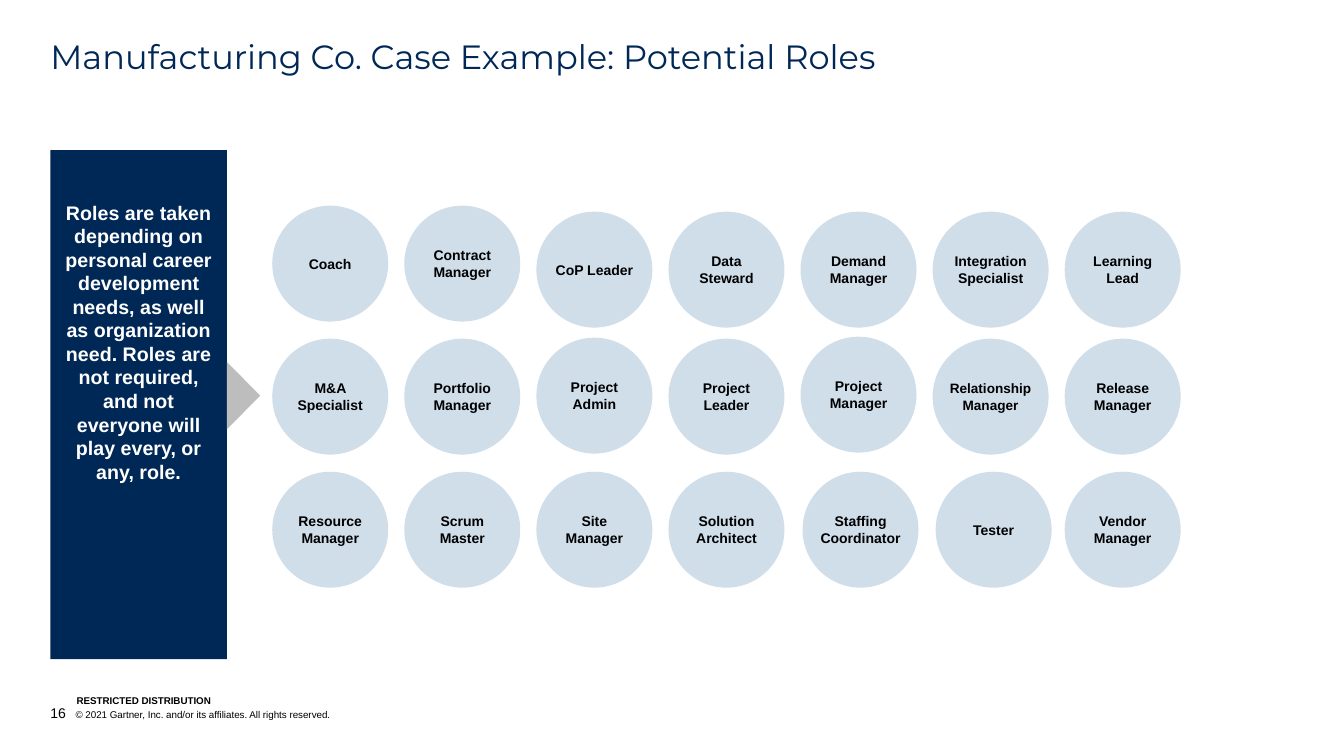
from lxml import etree
from pptx import Presentation
from pptx.dml.color import RGBColor
from pptx.enum.shapes import MSO_SHAPE
from pptx.enum.text import MSO_ANCHOR, PP_ALIGN
from pptx.oxml.ns import qn
from pptx.util import Inches, Pt

NAVY = RGBColor(0x00, 0x28, 0x56)
PALE_BLUE = RGBColor(0xD0, 0xDE, 0xEA)
GRAY = RGBColor(0xBD, 0xBD, 0xBD)
BLACK = RGBColor(0x00, 0x00, 0x00)
WHITE = RGBColor(0xFF, 0xFF, 0xFF)

ELLIPSE, RECT, TRIANGLE = MSO_SHAPE.OVAL, MSO_SHAPE.RECTANGLE, MSO_SHAPE.ISOSCELES_TRIANGLE
TOP, MIDDLE, BOTTOM = MSO_ANCHOR.TOP, MSO_ANCHOR.MIDDLE, MSO_ANCHOR.BOTTOM
LEFT, CENTER = PP_ALIGN.LEFT, PP_ALIGN.CENTER

# Role grid
ROLES = [
    ["Coach", "Contract Manager", "CoP Leader", "Data Steward",
     "Demand Manager", "Integration Specialist", "Learning Lead"],
    ["M&A Specialist", "Portfolio Manager", "Project Admin", "Project Leader",
     "Project Manager", "Relationship Manager", "Release Manager"],
    ["Resource Manager", "Scrum Master", "Site Manager", "Solution Architect",
     "Staffing Coordinator", "Tester", "Vendor Manager"],
]
ROW_TOPS = [2.1, 3.36, 4.68]
GRID_LEFT, COLUMN_STEP, DIAMETER = 2.7, 1.31, 1.15
NUDGES = {
    "Coach": (0, -0.06),
    "Contract Manager": (0, -0.06),
    "Project Admin": (0, -0.01),
    "Project Manager": (0, -0.02),
    "Staffing Coordinator": (0.02, 0),
    "Tester": (0.03, 0),
}
ROLE_SIZES = {"Relationship Manager": 9.7}


def write(sp, *runs, font="Arial", color=BLACK, bold=False, align=LEFT,
          anchor=TOP, insets=(0, 0, 0, 0)):
    """Fill a shape with one paragraph of (text, size) runs."""
    tf = sp.text_frame
    tf.word_wrap = True
    tf.vertical_anchor = anchor
    (tf.margin_left, tf.margin_top,
     tf.margin_right, tf.margin_bottom) = [Inches(i) for i in insets]
    p = tf.paragraphs[0]
    p.alignment = align
    for text, size in runs:
        r = p.add_run()
        r.text = text
        r.font.name = font
        r.font.size = Pt(size)
        r.font.bold = bold
        r.font.color.rgb = color
    return p


class SlideBuilder:
    def __init__(self, prs):
        self.s = prs.slides.add_slide(prs.slide_layouts[5])

    def title(self, text, *box):
        sp = self.s.shapes.title
        sp.left, sp.top, sp.width, sp.height = [Inches(v) for v in box]
        p = write(sp, (text, 24), font="Montserrat", color=NAVY)
        p.line_spacing = 0.9
        p.space_after = Pt(12)

    def shape(self, kind, fill, *box):
        sp = self.s.shapes.add_shape(kind, *[Inches(v) for v in box])
        sp.shadow.inherit = False
        sp.fill.solid()
        sp.fill.fore_color.rgb = fill
        sp.line.fill.background()
        return sp

    def footer(self, runs, *box, bold=False):
        sp = self.s.shapes.add_textbox(*[Inches(v) for v in box])
        p = write(sp, *runs, bold=bold, anchor=BOTTOM)
        # Hanging indent with a tab stop at the same place
        indent = Inches(0.25)
        pPr = p._p.get_or_add_pPr()
        pPr.set("marL", str(indent))
        pPr.set("indent", str(-indent))
        tabs = etree.SubElement(pPr, qn("a:tabLst"))
        etree.SubElement(tabs, qn("a:tab"), pos=str(indent), algn="l")

    def role(self, name, left, top):
        dx, dy = NUDGES.get(name, (0, 0))
        sp = self.shape(ELLIPSE, PALE_BLUE, left + dx, top + dy, DIAMETER, DIAMETER)
        write(sp, (name, ROLE_SIZES.get(name, 10)), bold=True,
              align=CENTER, anchor=MIDDLE)


def main():
    prs = Presentation()
    prs.slide_width, prs.slide_height = Inches(13.33), Inches(7.5)
    slide = SlideBuilder(prs)

    # Footer and title
    slide.footer([("16", 10),
                  ("\t© 2021 Gartner, Inc. and/or its affiliates. All rights reserved.", 7)],
                 0.5, 6.99, 7.99, 0.17)
    slide.footer([("RESTRICTED DISTRIBUTION", 7)], 0.76, 6.89, 2.53, 0.12, bold=True)
    slide.title("Manufacturing Co. Case Example: Potential Roles", 0.5, 0.4, 12.33, 0.48)

    # Role circles
    for top, names in zip(ROW_TOPS, ROLES):
        for column, name in enumerate(names):
            slide.role(name, GRID_LEFT + column * COLUMN_STEP, top)

    # Side panel with its pointer
    panel = slide.shape(RECT, NAVY, 0.5, 1.49, 1.75, 5.05)
    write(panel,
          ("Roles are taken depending on personal career development needs, "
           "as well as organization need. Roles are not required, and not "
           "everyone will play every, or any, role.", 14),
          color=WHITE, bold=True, align=CENTER, insets=(0.1, 0.5, 0.1, 0.1))
    pointer = slide.shape(TRIANGLE, GRAY, 2.08, 3.76, 0.67, 0.33)
    pointer.rotation = 90

    prs.save("out.pptx")


if __name__ == "__main__":
    main()
